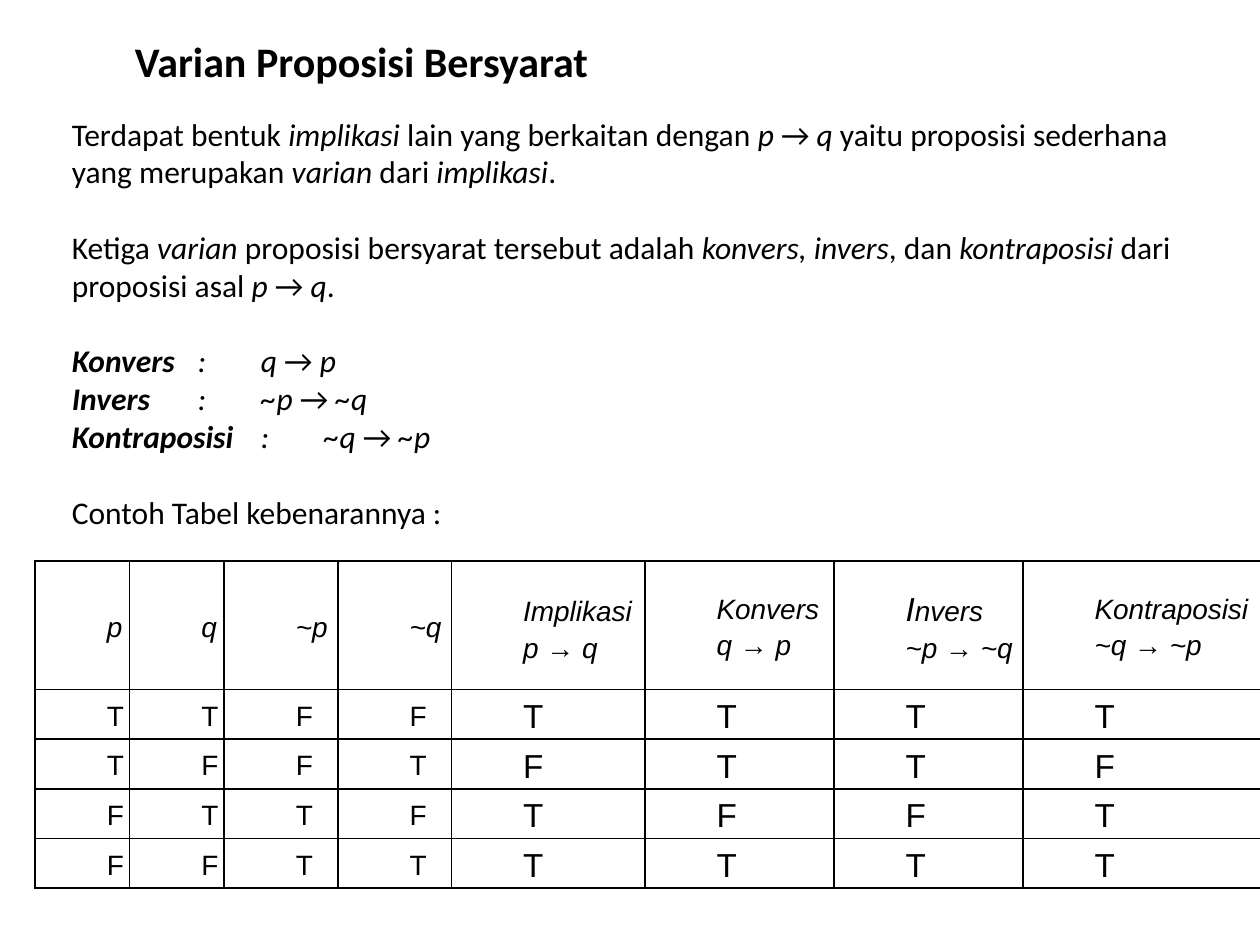
from dataclasses import dataclass

from lxml.etree import SubElement
from pptx import Presentation
from pptx.dml.color import RGBColor as Color
from pptx.enum.text import MSO_ANCHOR as Anchor, MSO_AUTO_SIZE as AutoSize
from pptx.oxml.ns import qn
from pptx.util import Pt


@dataclass(frozen=True)
class Theme:
    ink: Color = Color(0, 0, 0)
    text_font: str = "Calibri"
    table_font: str = "Arial"
    title: float = 24
    body: float = 18
    cell: float = 16
    large: float = 19
    border: float = 1


THEME = Theme()

# Content; marks switch a style on and off: * italic, # bold, ^ large
TITLE = "#Varian Proposisi Bersyarat#"
INTRO = [
    "Terdapat bentuk *implikasi* lain yang berkaitan dengan *p* → *q* yaitu "
    "proposisi sederhana yang merupakan *varian* dari *implikasi*.",
    "Ketiga *varian* proposisi bersyarat tersebut adalah *konvers, invers*, "
    "dan *kontraposisi* dari proposisi asal *p* → *q*.",
]
VARIANTS = [
    ("Konvers", "*q* → *p*"),
    ("Invers", "*~p* → *~q*"),
    ("Kontraposisi", "*~q* → *~p*"),
]
TABLE_LEAD = "Contoh Tabel kebenarannya :"
HEADERS = [
    ["*p*"], ["*q*"], ["*~p*"], ["*~q*"],
    ["*Implikasi^ ^*", "*p* → *q*"],
    ["*Konvers*", "*q* → *p*"],
    ["*^I^nvers*", "*~p* → *~q*"],
    ["*Kontraposisi*", "*~q* → *~p*"],
]
TRUTH = ["TTFFTTTT", "TFFTFTTF", "FTTFTFFT", "FFTTTTTT"]

# Layout in points
SLIDE = (720, 540)
TITLE_BOX = (34, 16.5, 646.5, 36)
BODY_BOX = (34, 62, 664, 247)
TABLE_AT = (20, 320.5)
COLUMNS = [54, 54, 65, 65, 110.5, 108, 108, 136]
ROWS = [73.5] + [28.4] * len(TRUTH)
SMALL_COLUMNS = 4  # p, q and their negations
INDENT = 36
CELL_MARGIN = 5
BLOCK_GAP = 21.6
VARIANT_TABS = [(144, "l"), (187, "ctr")]  # colon, formula


def add_span(para, text, *, font, size, bold, italic):
    span = para.add_run()
    span.text = text
    style = span.font
    style.name, style.size = font, Pt(size)
    style.bold, style.italic = bold, italic
    style.color.rgb = THEME.ink


def write(para, text, *, font=THEME.text_font, size=THEME.body, indent=0,
          before=0, spacing=None, tabs=()):
    """Fill a paragraph with marked-up text."""
    para.space_before = Pt(before)
    if spacing:
        para.line_spacing = spacing
    settings = para._p.get_or_add_pPr()
    settings.set("marL", str(Pt(indent)))
    settings.set("indent", "0")
    if tabs:
        stops = SubElement(settings, qn("a:tabLst"))
        for place, align in tabs:
            SubElement(stops, qn("a:tab"), pos=str(Pt(place)), algn=align)

    active, piece = dict.fromkeys("*#^", False), ""
    for char in text + "*":
        if char not in active:
            piece += char
            continue
        if piece:
            add_span(para, piece, font=font, bold=active["#"], italic=active["*"],
                     size=THEME.large if active["^"] else size)
        active[char], piece = not active[char], ""


def write_all(frame, items):
    """Write (text, format) pairs, one paragraph each."""
    for index, (text, style) in enumerate(items):
        para = frame.add_paragraph() if index else frame.paragraphs[0]
        write(para, text, **style)


def add_text(page, place, items):
    box = page.shapes.add_textbox(*map(Pt, place))
    box.text_frame.word_wrap = True
    box.text_frame.auto_size = AutoSize.SHAPE_TO_FIT_TEXT
    write_all(box.text_frame, items)


def fill_cell(cell, lines, size):
    cell.vertical_anchor = Anchor.MIDDLE
    cell.margin_left = cell.margin_right = Pt(CELL_MARGIN)
    cell.margin_top = cell.margin_bottom = 0
    settings = cell._tc.get_or_add_tcPr()
    for side in ("lnL", "lnR", "lnT", "lnB"):
        line = SubElement(settings, qn(f"a:{side}"), w=str(Pt(THEME.border)))
        paint = SubElement(line, qn("a:solidFill"))
        SubElement(paint, qn("a:srgbClr"), val=str(THEME.ink))
    cell.fill.background()
    style = dict(font=THEME.table_font, size=size, indent=INDENT, spacing=1.15)
    write_all(cell.text_frame, [(line, style) for line in lines])


def add_truth_table(page):
    frame = page.shapes.add_table(len(ROWS), len(COLUMNS), *map(Pt, TABLE_AT),
                                  Pt(sum(COLUMNS)), Pt(sum(ROWS)))
    table = frame.table
    table.first_row = table.horz_banding = False
    for column, width in zip(table.columns, COLUMNS):
        column.width = Pt(width)
    for row, height in zip(table.rows, ROWS):
        row.height = Pt(height)
    for c, lines in enumerate(HEADERS):
        fill_cell(table.cell(0, c), lines, THEME.cell)
    for r, values in enumerate(TRUTH, start=1):
        for c, value in enumerate(values):
            size = THEME.cell if c < SMALL_COLUMNS else THEME.large
            fill_cell(table.cell(r, c), [value], size)


def main():
    deck = Presentation()
    deck.slide_width, deck.slide_height = map(Pt, SLIDE)
    page = deck.slides.add_slide(deck.slide_layouts[6])

    # Title
    add_text(page, TITLE_BOX, [(TITLE, dict(size=THEME.title, indent=INDENT))])

    # Explanation and the three variants
    gap = dict(before=BLOCK_GAP)
    body = [(text, gap if i else {}) for i, text in enumerate(INTRO)]
    for i, (name, formula) in enumerate(VARIANTS):
        style = dict(tabs=VARIANT_TABS, before=0 if i else BLOCK_GAP)
        body.append((f"*#{name}#\t:\t*{formula}", style))
    body.append((TABLE_LEAD, gap))
    add_text(page, BODY_BOX, body)

    # Truth table
    add_truth_table(page)
    deck.save("out.pptx")


if __name__ == "__main__":
    main()
